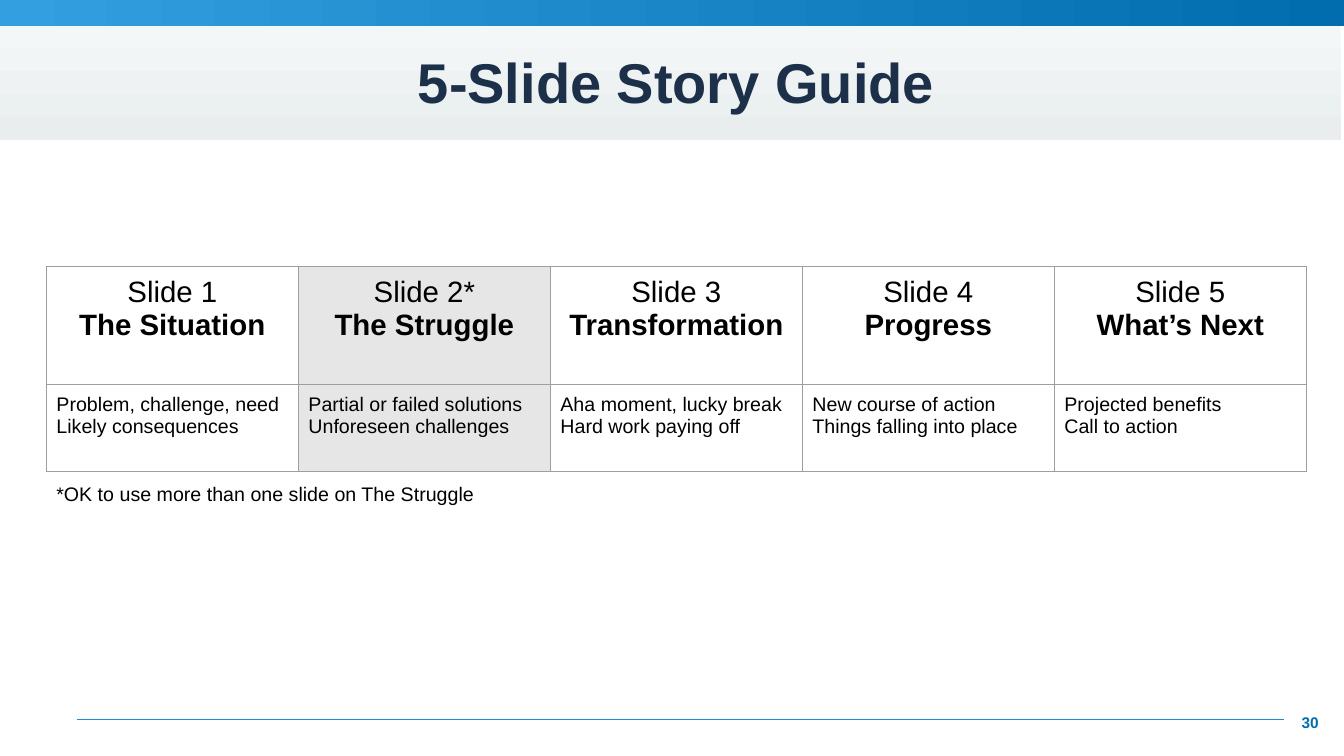
from lxml.etree import SubElement
from pptx import Presentation
from pptx.dml.color import RGBColor
from pptx.enum.shapes import MSO_CONNECTOR, MSO_SHAPE
from pptx.enum.text import MSO_ANCHOR, PP_ALIGN
from pptx.oxml.ns import qn
from pptx.util import Inches, Pt

SLIDE_W, SLIDE_H = Inches(13.33), Inches(7.5)
COL, ROW = SLIDE_W / 100, SLIDE_H / 100
FONT = "Arial"
COLORS = {
    "white": "FFFFFF", "black": "000000", "navy": "1C304A",
    "blue": "026DAE", "sky": "349FE0", "rule": "208BCC",
    "pale": "F3F7F8", "mist": "E9EDEE",
    "shade": "E7E6E6", "border": "9E9E9E",
}
STORY = [
    ("Slide 1", "The Situation", "Problem, challenge, need", "Likely consequences"),
    ("Slide 2*", "The Struggle", "Partial or failed solutions", "Unforeseen challenges"),
    ("Slide 3", "Transformation", "Aha moment, lucky break", "Hard work paying off"),
    ("Slide 4", "Progress", "New course of action", "Things falling into place"),
    ("Slide 5", "What’s Next", "Projected benefits", "Call to action"),
]
SHADED_COLUMN = 1
TABLE_LEFT, TABLE_TOP = 3.45, 35.2
STORY_COL = 18.75
STORY_ROWS = (15.6, 11.6)


def rgb(name):
    return RGBColor.from_string(COLORS[name])


def grid(left, top, width, height):
    return [round(n) for n in (left * COL, top * ROW, width * COL, height * ROW)]


def set_insets(box, inset):
    box.margin_left = box.margin_right = Inches(inset)
    box.margin_top = box.margin_bottom = Inches(inset)


def write(tf, lines, size, color="black", align=PP_ALIGN.LEFT):
    for i, (text, bold) in enumerate(lines):
        p = tf.paragraphs[0] if i == 0 else tf.add_paragraph()
        p.alignment = align
        r = p.add_run()
        r.text = text
        r.font.name = FONT
        r.font.size = Pt(size)
        r.font.bold = bold
        r.font.color.rgb = rgb(color)


def add_band(s, place, start, end, angle):
    sp = s.shapes.add_shape(MSO_SHAPE.RECTANGLE, *grid(*place))
    sp.shadow.inherit = False
    sp.line.fill.background()
    sp.fill.gradient()
    sp.fill.gradient_angle = angle
    for stop, color in zip(sp.fill.gradient_stops, (start, end)):
        stop.color.rgb = rgb(color)


def add_text(s, place, text, size, color="black", bold=False,
             align=PP_ALIGN.LEFT, anchor=MSO_ANCHOR.TOP, inset=0.1):
    sp = s.shapes.add_textbox(*grid(*place))
    tf = sp.text_frame
    tf.word_wrap = True
    tf.vertical_anchor = anchor
    set_insets(tf, inset)
    write(tf, [(text, bold)], size, color, align)
    return sp


def add_rule(s, left, right, row):
    x1, y, width, _ = grid(left, row, right - left, 0)
    line = s.shapes.add_connector(MSO_CONNECTOR.STRAIGHT, x1, y, x1 + width, y)
    line.line.color.rgb = rgb("rule")
    line.line.width = Pt(0.75)
    SubElement(line._element.spPr, qn("a:effectLst"))


def set_borders(cell):
    tcPr = cell._tc.get_or_add_tcPr()
    for i, side in enumerate(("lnL", "lnR", "lnT", "lnB")):
        ln = tcPr.makeelement(qn(f"a:{side}"), {"w": str(Pt(0.75))})
        fill = SubElement(ln, qn("a:solidFill"))
        SubElement(fill, qn("a:srgbClr"), val=COLORS["border"])
        tcPr.insert(i, ln)


def fill_cell(cell, lines, size, align, shaded):
    set_insets(cell, 0.1)
    write(cell.text_frame, lines, size, align=align)
    if shaded:
        cell.fill.solid()
        cell.fill.fore_color.rgb = rgb("shade")
    else:
        cell.fill.background()
    set_borders(cell)


def add_story_table(s):
    place = grid(TABLE_LEFT, TABLE_TOP, STORY_COL * len(STORY), sum(STORY_ROWS))
    table = s.shapes.add_table(len(STORY_ROWS), len(STORY), *place).table
    table.first_row = table.horz_banding = False
    for row, height in zip(table.rows, STORY_ROWS):
        row.height = round(height * ROW)
    for i, (label, stage, *details) in enumerate(STORY):
        table.columns[i].width = round(STORY_COL * COL)
        shaded = i == SHADED_COLUMN
        fill_cell(table.cell(0, i), [(label, False), (stage, True)], 21,
                  PP_ALIGN.CENTER, shaded)
        fill_cell(table.cell(1, i), [(d, False) for d in details], 14,
                  PP_ALIGN.LEFT, shaded)


def main():
    prs = Presentation()
    prs.slide_width, prs.slide_height = SLIDE_W, SLIDE_H
    s = prs.slides.add_slide(prs.slide_layouts[6])
    s.background.fill.solid()
    s.background.fill.fore_color.rgb = rgb("white")

    add_band(s, (0, 3.4, 99.75, 15.07), "pale", "mist", 270)
    page = add_text(s, (95.87, 93.47, 3.23, 4), "30", 11, "blue", True,
                    PP_ALIGN.CENTER, inset=0.06)
    page.fill.solid()
    page.fill.fore_color.rgb = rgb("white")
    add_rule(s, 5.7, 95.57, 95.2)
    add_band(s, (0, 0, 100, 3.4), "sky", "blue", 0)

    title = add_text(s, (0, 5.47, 100.6, 11.73), "5-Slide Story Guide", 40, "navy",
                     True, PP_ALIGN.CENTER, MSO_ANCHOR.MIDDLE, 0)
    title.text_frame.paragraphs[0].line_spacing = 0.9
    add_story_table(s)
    add_text(s, (TABLE_LEFT, TABLE_TOP + sum(STORY_ROWS), 83.35, 5.87),
             "*OK to use more than one slide on The Struggle", 14)
    prs.save("out.pptx")


if __name__ == "__main__":
    main()
